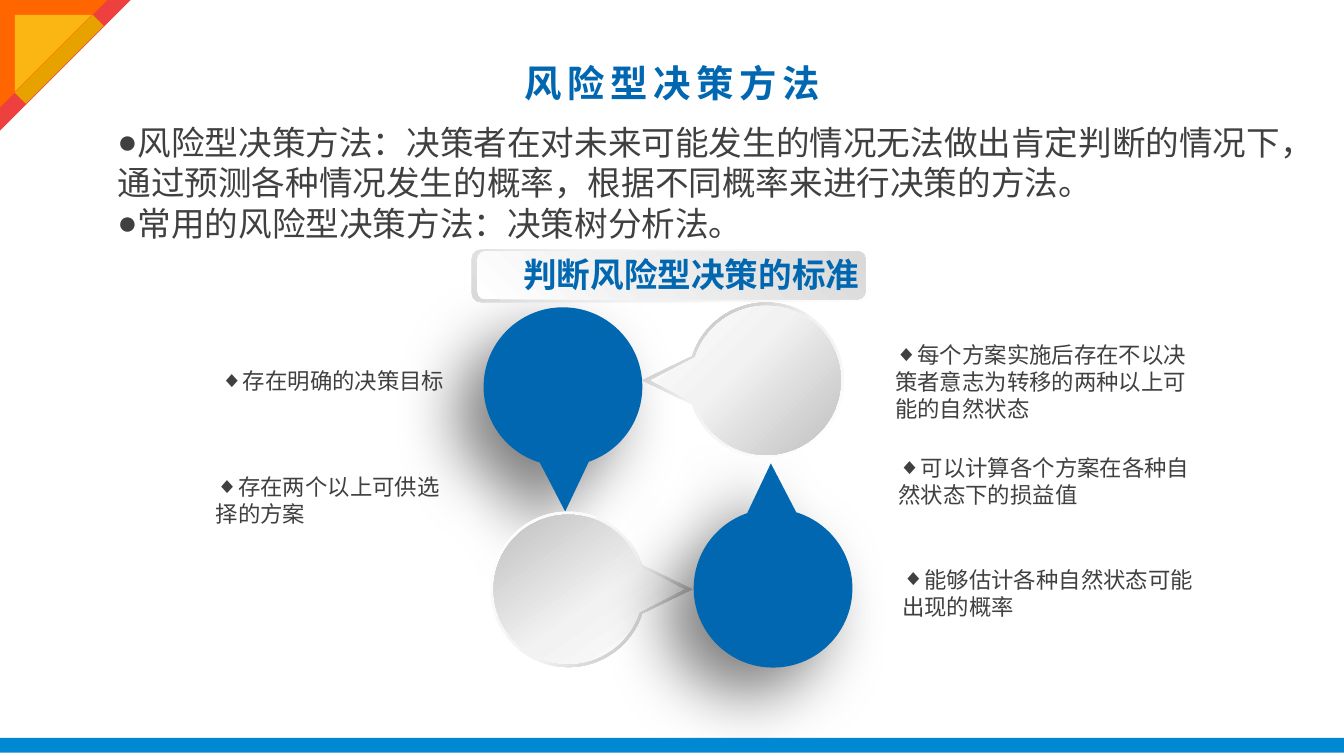
import math

import lxml.etree
import pptx
import pptx.dml.color
import pptx.enum.shapes
import pptx.enum.text
import pptx.oxml
import pptx.oxml.ns
import pptx.util

Cm, Pt = pptx.util.Cm, pptx.util.Pt
rgb = pptx.dml.color.RGBColor.from_string
qn = pptx.oxml.ns.qn
SHAPE = pptx.enum.shapes.MSO_SHAPE
CENTER = pptx.enum.text.PP_ALIGN.CENTER
BLUE, GREY = "0067B0", "404040"
RIM = [(0, "FFFFFF"), (55, "F2F2F2"), (100, "A6A6A6")]
FACE = [(0, "FFFFFF"), (43, "F2F2F2"), (100, "BFBFBF")]


def paint(shape, fill, angle=0):
    """Fill with one colour, or with gradient stops running clockwise at angle."""
    shape.shadow.inherit = False
    shape.line.fill.background()
    if isinstance(fill, str):
        shape.fill.solid()
        shape.fill.fore_color.rgb = rgb(fill)
        return
    shape.fill.gradient()
    shape.fill.gradient_angle = 360 - angle
    stop_list = next(shape.element.iter(qn("a:gsLst")))
    for old_stop in list(stop_list):
        stop_list.remove(old_stop)
    for position, color in fill:
        stop = lxml.etree.SubElement(stop_list, qn("a:gs"), pos=str(position * 1000))
        lxml.etree.SubElement(stop, qn("a:srgbClr"), val=color)


def add_text(box, lines, size, color, bullet=None):
    left, top, width, height = box
    text_frame = slide.shapes.add_textbox(Cm(left), Cm(top), Cm(width), Cm(height)).text_frame
    text_frame.word_wrap = True
    text_frame.text = "\n".join(lines)
    for paragraph in text_frame.paragraphs:
        if bullet:
            properties = paragraph._p.get_or_add_pPr()
            lxml.etree.SubElement(properties, qn("a:buFont"), typeface="Arial")
            lxml.etree.SubElement(properties, qn("a:buChar"), char=bullet)
        font = paragraph.runs[0].font
        font.name, font.size, font.color.rgb = "Arial", Pt(size), rgb(color)
    return text_frame.paragraphs[0]


presentation = pptx.Presentation()
presentation.slide_width, presentation.slide_height = Cm(25.4), Cm(14.29)
slide = presentation.slides.add_slide(presentation.slide_layouts[5])

# Title
title = slide.shapes.title
title.left, title.top, title.width, title.height = Cm(1.27), Cm(0.94), Cm(22.86), Cm(1.24)
title.text_frame.text = "风险型决策方法"
title.text_frame.vertical_anchor = pptx.enum.text.MSO_ANCHOR.MIDDLE
paragraph = title.text_frame.paragraphs[0]
paragraph.alignment = CENTER
font = paragraph.runs[0].font
font.name, font.size, font.bold, font.color.rgb = "Arial", Pt(20), True, rgb(BLUE)
paragraph.runs[0]._r.get_or_add_rPr().set("spc", "300")

# Definition
add_text((1.97, 2.18, 22.48, 2.57), [
    "风险型决策方法：决策者在对未来可能发生的情况无法做出肯定判断的情况下，"
    "通过预测各种情况发生的概率，根据不同概率来进行决策的方法。",
    "常用的风险型决策方法：决策树分析法。",
], 18, GREY, "●")

# Pins: centre, radius, reach of the tip, direction of the tip, fill, gradient angle
pins = [
    (10.64, 7.31, 1.5, 2.36, 89, BLUE, 0),
    (10.74, 11.14, 1.47, 2.34, 0, RIM, 45),
    (10.74, 11.14, 1.41, 2.18, 0, FACE, 235),
    (14.61, 11.12, 1.5, 2.36, 269, BLUE, 0),
    (14.48, 7.19, 1.47, 2.34, 180, RIM, 235),
    (14.48, 7.19, 1.41, 2.18, 180, FACE, 45),
]
arc_ends = [18, 90, 180, 270, 342]
for center_x, center_y, radius, reach, direction, fill, angle in pins:
    # Tip and first base corner, then two control points and an end for each arc
    polar = [(reach, 0), (radius, arc_ends[0])]
    for start, end in zip(arc_ends, arc_ends[1:]):
        handle = 4 / 3 * math.tan(math.radians(end - start) / 4)
        turn = math.degrees(math.atan(handle))
        distance = radius * math.hypot(1, handle)
        polar += [(distance, start + turn), (distance, end - turn), (radius, end)]
    points = [
        (Cm(center_x + distance * math.cos(math.radians(direction + degrees))),
         Cm(center_y + distance * math.sin(math.radians(direction + degrees))))
        for distance, degrees in polar
    ]
    builder = slide.shapes.build_freeform(*points[0])
    builder.add_line_segments(points[1:], close=True)
    pin = builder.convert_to_shape()
    segments = list(pin.element.iter(qn("a:lnTo")))[1:]
    for first in range(0, len(segments), 3):
        curve = lxml.etree.Element(qn("a:cubicBezTo"))
        segments[first].addprevious(curve)
        for segment in segments[first:first + 3]:
            curve.append(segment[0])
            segment.getparent().remove(segment)
    paint(pin, fill, angle)
    if fill == BLUE:
        effects = next(pin.element.iter(qn("a:effectLst")))
        shadow = lxml.etree.SubElement(
            effects, qn("a:outerShdw"), blurRad=str(Pt(35)), dist=str(Pt(20)),
            dir=str(135 * 60000), algn="tr", rotWithShape="0")
        black = lxml.etree.SubElement(shadow, qn("a:srgbClr"), val="000000")
        lxml.etree.SubElement(black, qn("a:alpha"), val="50000")

# Criteria around the pins
criteria = [
    ((3.92, 6.81, 4.83, 0.76), "存在明确的决策目标"),
    ((3.83, 8.82, 4.93, 1.27), "存在两个以上可供选择的方案"),
    ((16.67, 6.32, 6.1, 1.8), "每个方案实施后存在不以决策者意志为转移的两种以上可能的自然状态"),
    ((16.73, 8.46, 6.1, 1.27), "可以计算各个方案在各种自然状态下的损益值"),
    ((16.8, 10.57, 6.3, 1.27), "能够估计各种自然状态可能出现的概率"),
]
for box, criterion in criteria:
    add_text(box, [criterion], 12, GREY, "◆")

# Footer bar, corner ornament and banner plates
banner_back = [(0, "FFFFFF"), (62, "F2F2F2"), (100, "D9D9D9")]
banner_front = [(0, "FFFFFF"), (42, "F0F0F0"), (100, "D9D9D9")]
plates = [
    (SHAPE.RECTANGLE, 0, 13.95, 25.4, 0.28, 0, "0089D2", 0),
    (SHAPE.RIGHT_TRIANGLE, 0, 0, 2.47, 2.47, 90, "EE403F", 0),
    (SHAPE.RIGHT_TRIANGLE, 0, 0, 2.03, 2.03, 90, "FF6600", 0),
    (SHAPE.RIGHT_TRIANGLE, 0.28, 0.28, 1.45, 1.45, 90, "FBB614", 0),
    (SHAPE.RECTANGLE, 0.97, 0.08, 0.3, 2.08, 45, "E7A200", 0),
    (SHAPE.ROUNDED_RECTANGLE, 8.92, 4.72, 7.52, 0.99, 0, banner_back, 135),
    (SHAPE.ROUNDED_RECTANGLE, 9.02, 4.75, 7.34, 0.91, 0, banner_front, 315),
]
for kind, left, top, width, height, rotation, fill, angle in plates:
    plate = slide.shapes.add_shape(kind, Cm(left), Cm(top), Cm(width), Cm(height))
    plate.rotation = rotation
    paint(plate, fill, angle)

banner = add_text((8.91, 4.67, 8.31, 1.02), ["判断风险型决策的标准"], 18, BLUE)
banner.alignment = CENTER
banner.runs[0].font.bold = True

presentation.save("out.pptx")
